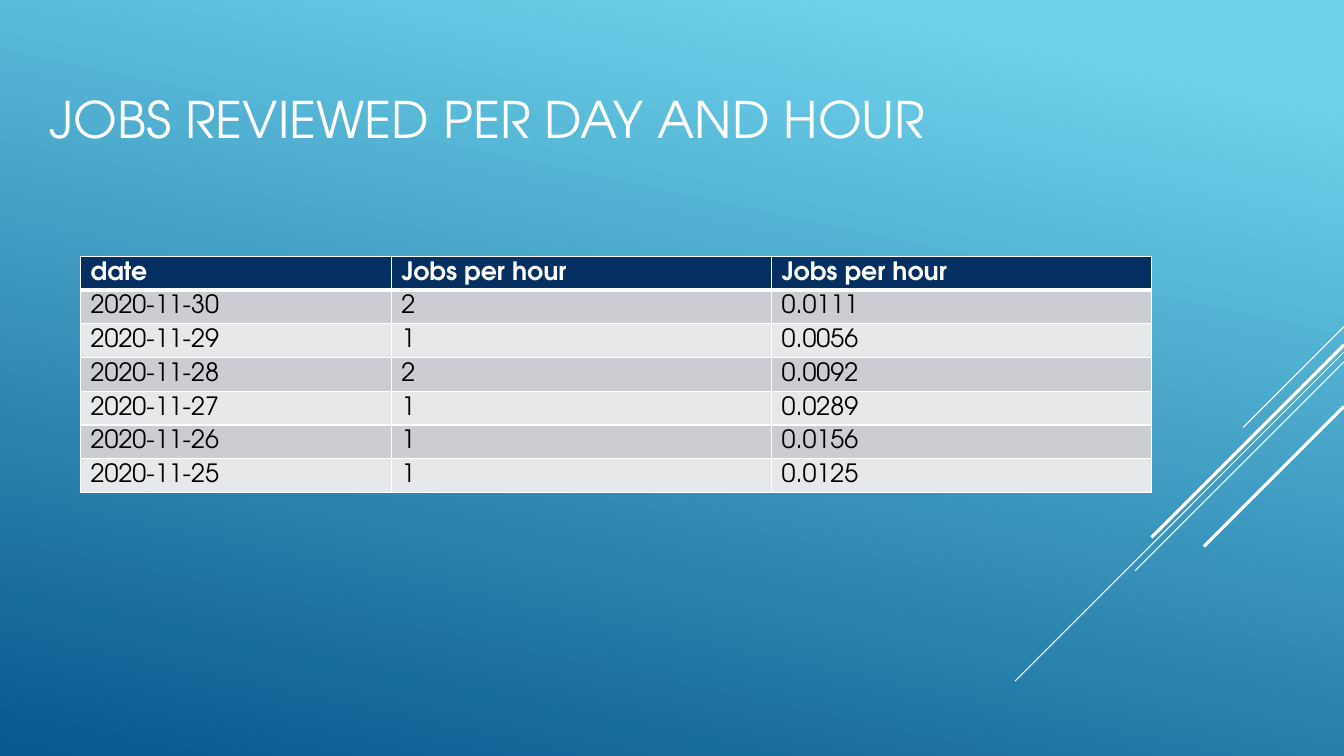
from lxml import etree
from pptx import Presentation
from pptx.dml.color import RGBColor
from pptx.enum.shapes import MSO_CONNECTOR
from pptx.enum.text import MSO_ANCHOR
from pptx.oxml.ns import qn
from pptx.util import Cm, Pt

STRAIGHT = MSO_CONNECTOR.STRAIGHT
MIDDLE = MSO_ANCHOR.MIDDLE

WHITE = RGBColor(0xFF, 0xFF, 0xFF)
BLACK = RGBColor(0x00, 0x00, 0x00)
SKY = RGBColor(0x6E, 0xD2, 0xEB)
OCEAN = RGBColor(0x06, 0x58, 0x8E)
NAVY = RGBColor(0x05, 0x2F, 0x61)
BANDS = (RGBColor(0xCC, 0xCD, 0xD2), RGBColor(0xE7, 0xE8, 0xEA))

FONT = "TeX Gyre Adventor"
SLIDE_W, SLIDE_H = 33.87, 19.05

# Boxes are left, top, width, height in centimetres
TITLE_BOX = (0.99, 0.89, 23.7, 4.19)
TABLE_BOX = (2.03, 6.46, 27, 5.95)
RAYS_BOX = (25.58, 8.23, 8.29, 8.92)

# Drop below the box top, length along each axis, line width in points
RAYS = (
    (0, 2.54, 0.75),
    (0.64, 8.29, 0.75),
    (0.89, 5.26, 0.75),
    (0.46, 4.85, 2.25),
    (2.01, 3.53, 2.25),
)
COLUMN_SHARES = (0.29, 0.355, 0.355)
JOBS = (
    ("date", "Jobs per hour", "Jobs per hour"),
    ("2020-11-30", "2", "0.0111"),
    ("2020-11-29", "1", "0.0056"),
    ("2020-11-28", "2", "0.0092"),
    ("2020-11-27", "1", "0.0289"),
    ("2020-11-26", "1", "0.0156"),
    ("2020-11-25", "1", "0.0125"),
)


def write(tf, text, color, **formats):
    r = tf.paragraphs[0].add_run()
    r.text = text
    r.font.color.rgb = color
    for name, value in {"name": FONT, **formats}.items():
        setattr(r.font, name, value)


def paint_background(s):
    fill = s.background.fill
    fill.gradient()
    fill.gradient_angle = 258
    for stop, position, color in zip(fill.gradient_stops, (0.1, 1), (SKY, OCEAN)):
        stop.position = position
        stop.color.rgb = color


def draw_rays(s, box):
    """Draw diagonals falling leftwards from the right edge of the box."""
    left, top, width, _ = box
    right = left + width
    for drop, length, weight in RAYS:
        y = top + drop
        ray = s.shapes.add_connector(
            STRAIGHT, Cm(right), Cm(y), Cm(right - length), Cm(y + length))
        ray.line.color.rgb = WHITE
        ray.line.width = Pt(weight)
        etree.SubElement(ray._element.spPr, qn("a:effectLst"))


def add_title(s, box):
    tf = s.shapes.add_textbox(*map(Cm, box)).text_frame
    tf.word_wrap = True
    tf.vertical_anchor = MIDDLE
    write(tf, "JOBS REVIEWED PER DAY AND HOUR", WHITE, size=Pt(36))


def set_borders(cell, bottom):
    """Rule the cell in white, with its own weight for the bottom edge."""
    tcPr = cell._tc.get_or_add_tcPr()
    edges = {"lnL": 1, "lnR": 1, "lnT": 1, "lnB": bottom}
    for i, (tag, weight) in enumerate(edges.items()):
        ln = etree.Element(qn(f"a:{tag}"), w=str(Pt(weight)))
        fill = etree.SubElement(ln, qn("a:solidFill"))
        etree.SubElement(fill, qn("a:srgbClr"), val=str(WHITE))
        tcPr.insert(i, ln)


def add_jobs_table(s, box):
    _, _, width, height = box
    table = s.shapes.add_table(len(JOBS), len(JOBS[0]), *map(Cm, box)).table
    for column, share in zip(table.columns, COLUMN_SHARES):
        column.width = Cm(width * share)
    for i, values in enumerate(JOBS):
        header = i == 0
        table.rows[i].height = Cm(height / len(JOBS))
        for j, value in enumerate(values):
            cell = table.cell(i, j)
            cell.margin_top = cell.margin_bottom = 0
            cell.vertical_anchor = MIDDLE
            cell.fill.solid()
            cell.fill.fore_color.rgb = NAVY if header else BANDS[(i - 1) % 2]
            # Neighbouring cells share an edge, so the first data row keeps it heavy
            set_borders(cell, bottom=3 if header else 1)
            write(cell.text_frame, value, WHITE if header else BLACK,
                  size=Pt(18), bold=header)


def main():
    prs = Presentation()
    prs.slide_width, prs.slide_height = Cm(SLIDE_W), Cm(SLIDE_H)
    s = prs.slides.add_slide(prs.slide_layouts[6])
    paint_background(s)
    draw_rays(s, RAYS_BOX)
    add_title(s, TITLE_BOX)
    add_jobs_table(s, TABLE_BOX)
    prs.save("out.pptx")


if __name__ == "__main__":
    main()
